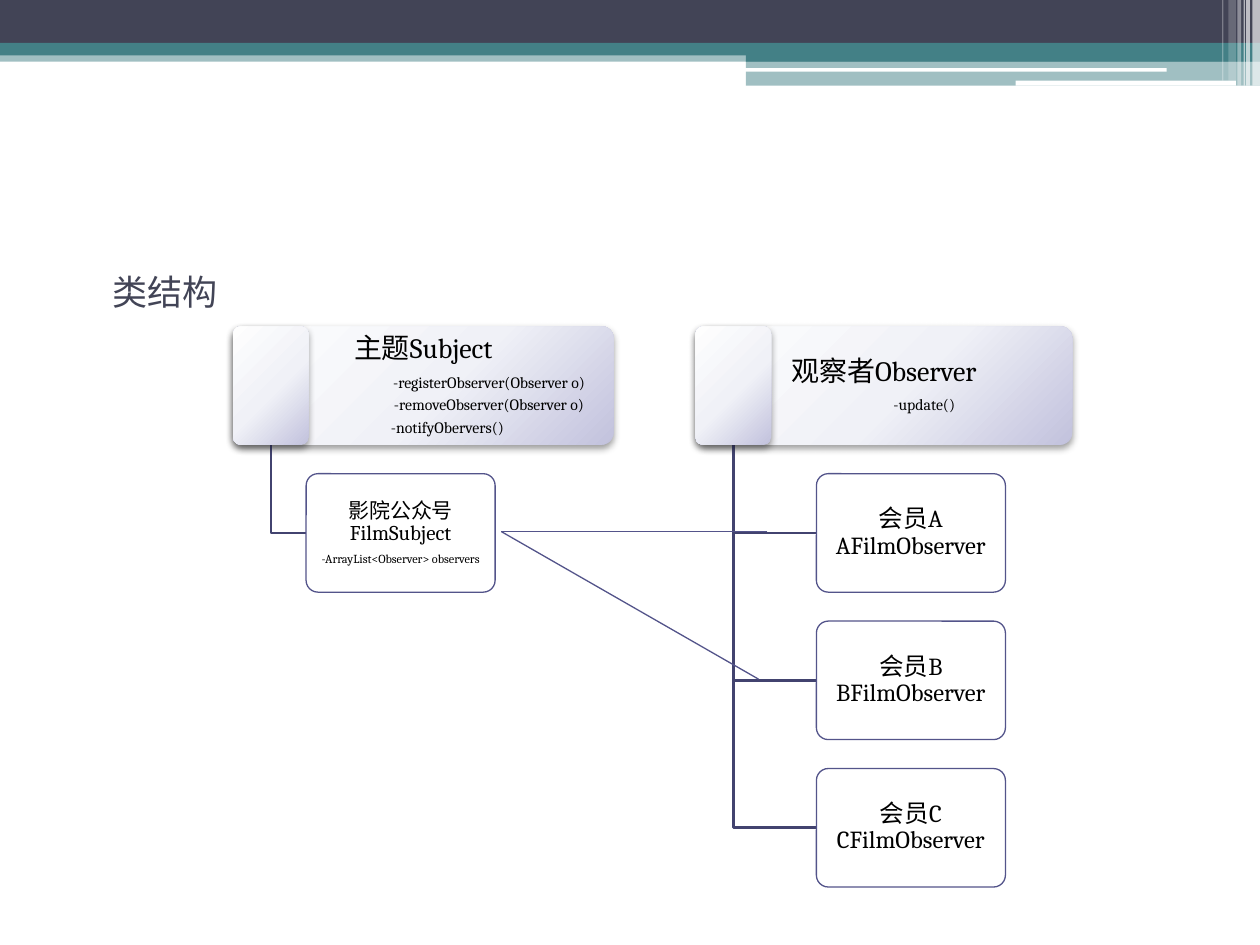
"""Build a class structure slide for the observer pattern."""
from lxml import etree
from pptx import Presentation
from pptx.dml.color import RGBColor
from pptx.enum.shapes import MSO_CONNECTOR as LINK, MSO_SHAPE as SHAPE
from pptx.enum.text import MSO_ANCHOR as ANCHOR, PP_ALIGN as ALIGN
from pptx.oxml import parse_xml
from pptx.oxml.ns import nsdecls, qn
from pptx.util import Inches, Pt

COLORS = {
    "white": "FFFFFF", "dark": "424456", "teal": "438086", "black": "000000",
    "outline": "53548A", "elbow": "42436F",
    "pale": "FEFEFE", "mist": "F0F1F7", "lavender": "C2C2DD",
}
BANDS = [
    (0, 0.4, 10, 0.09, "teal", 50), (0, 0, 10, 0.34, "dark", 100),
    (0, 0.34, 10, 0.1, "teal", 100), (5.92, 0.39, 4.08, 0.1, "teal", 100),
    (5.92, 0.48, 4.08, 0.2, "teal", 50),
    (5.91, 0.54, 3.35, 0.03, "white", 100), (8.06, 0.64, 1.75, 0.04, "white", 100),
    (9.94, 0, 0.06, 0.68, "white", 65), (9.89, 0, 0.03, 0.68, "white", 65),
    (9.87, 0, 0.01, 0.68, "white", 60), (9.82, 0, 0.03, 0.68, "white", 40),
    (9.75, 0, 0.06, 0.64, "white", 20), (9.7, 0, 0.01, 0.64, "white", 30),
]
HEADER_TOP, BOX_HEIGHT, BOX_WIDTH, TAB_WIDTH = 2.59, 0.94, 1.5, 0.6
FIRST_BOX_TOP, BOX_STEP = 3.76, 1.17
CLASSES = [
    {"left": 1.85, "width": 3.02, "child_left": 2.43,
     "lines": [("主题Subject", 16, 0), ("-registerObserver(Observer\u00a0o)", 9, 1.04),
               ("-removeObserver(Observer\u00a0o)", 9, 1.04), ("-notifyObervers()", 9, 0.38)],
     "children": [[("影院公众号FilmSubject", 12, 0),
                   ("-ArrayList<Observer>\u00a0observers", 7, 0)]]},
    {"left": 5.52, "width": 2.99, "child_left": 6.48,
     "lines": [("观察者Observer", 16, 0), ("-update()", 9, 0.64)],
     "children": [[(f"会员{name} {name}FilmObserver", 14, 0)] for name in "ABC"]},
]


class Painter:
    """Hold the style and the current slide."""

    def __init__(self, page):
        self.page = page
        self.font = "Cambria"
        self.frame_format = {
            "word_wrap": True, "vertical_anchor": ANCHOR.MIDDLE,
            "margin_left": Inches(0.03), "margin_right": Inches(0.03),
            "margin_top": Inches(0.02), "margin_bottom": Inches(0.02),
        }

    def color(self, name):
        return RGBColor.from_string(COLORS[name])

    def title(self, text, left, top, width, height):
        box = self.page.shapes.title
        place = {"left": left, "top": top, "width": width, "height": height}
        for name, value in place.items():
            setattr(box, name, Inches(value))
        box.text_frame.vertical_anchor = ANCHOR.TOP
        para = box.text_frame.paragraphs[0]
        para.alignment = ALIGN.LEFT
        self.span(para, text, "Cabin", 20, "dark")

    def span(self, para, text, font, size, color):
        span = para.add_run()
        span.text = text
        for name, value in {"name": font, "size": Pt(size)}.items():
            setattr(span.font, name, value)
        span.font.color.rgb = self.color(color)

    def block(self, kind, left, top, width, height, fill, opacity=100):
        box = self.page.shapes.add_shape(kind, *map(Inches, (left, top, width, height)))
        box.shadow.inherit = False
        box.line.fill.background()
        box.fill.solid()
        box.fill.fore_color.rgb = self.color(fill)
        if opacity < 100:
            tint = box._element.spPr.find(f"{qn('a:solidFill')}/{qn('a:srgbClr')}")
            etree.SubElement(tint, qn("a:alpha"), val=str(opacity * 1000))
        return box

    def rounded(self, left, top, width, fill="white", opacity=100):
        box = self.block(SHAPE.ROUNDED_RECTANGLE, left, top, width, BOX_HEIGHT, fill, opacity)
        box.adjustments[0] = 0.1
        return box

    def glossy(self, left, width):
        box = self.rounded(left, HEADER_TOP, width)
        stops = "".join(
            f'<a:gs pos="{place * 1000}"><a:srgbClr val="{COLORS[name]}"/></a:gs>'
            for place, name in ((0, "pale"), (55, "mist"), (100, "lavender")))
        properties = box._element.spPr
        properties.replace(properties.find(qn("a:solidFill")), parse_xml(
            f'<a:gradFill {nsdecls("a")} rotWithShape="1"><a:gsLst>{stops}</a:gsLst>'
            '<a:path path="circle"><a:fillToRect l="-40000" t="-90000" r="140000" b="190000"/>'
            '</a:path></a:gradFill>'))
        properties.find(qn("a:effectLst")).append(parse_xml(
            f'<a:outerShdw {nsdecls("a")} blurRad="{Pt(4.1)}" dist="{Pt(2)}" dir="5400000" '
            f'rotWithShape="0"><a:srgbClr val="{COLORS["black"]}"><a:alpha val="40000"/>'
            '</a:srgbClr></a:outerShdw>'))
        return box

    def card(self, left, top, lines):
        box = self.rounded(left, top, BOX_WIDTH, opacity=90)
        self.stroke(box, "outline", 0.75)
        self.label(box, lines)

    def stroke(self, item, color, width):
        item.line.color.rgb = self.color(color)
        item.line.width = Pt(width)

    def label(self, box, lines):
        frame = box.text_frame
        for name, value in self.frame_format.items():
            setattr(frame, name, value)
        for index, (text, size, indent) in enumerate(lines):
            para = frame.add_paragraph() if index else frame.paragraphs[0]
            layout = {"alignment": ALIGN.CENTER, "line_spacing": 0.9,
                      "space_after": Pt(round(size * 0.35, 1))}
            for name, value in layout.items():
                setattr(para, name, value)
            if indent:
                para._p.get_or_add_pPr().set("marL", str(Inches(indent)))
            self.span(para, text, self.font, size, "black")

    def elbow(self, left, top, right, bottom):
        builder = self.page.shapes.build_freeform(Inches(left), Inches(top))
        corners = [(left, bottom), (right, bottom)]
        builder.add_line_segments([tuple(map(Inches, spot)) for spot in corners], close=False)
        bend = builder.convert_to_shape()
        bend.shadow.inherit = False
        bend.fill.background()
        self.stroke(bend, "elbow", 1.5)

    def link(self, start, end):
        line = self.page.shapes.add_connector(LINK.STRAIGHT, *map(Inches, start + end))
        self.stroke(line, "outline", 0.75)
        etree.SubElement(line._element.spPr, qn("a:effectLst"))


def main():
    deck = Presentation()
    deck.slide_width, deck.slide_height = Inches(10), Inches(7.5)
    page = deck.slides.add_slide(deck.slide_layouts[5])
    painter = Painter(page)
    for *place, fill, opacity in BANDS:
        painter.block(SHAPE.RECTANGLE, *place, fill, opacity)
    painter.title("类结构", 0.79, 2.1, 8.5, 1.49)

    for group in CLASSES:
        painter.label(painter.glossy(group["left"], group["width"]), group["lines"])
        for index, lines in enumerate(group["children"]):
            top = FIRST_BOX_TOP + index * BOX_STEP
            painter.elbow(group["left"] + TAB_WIDTH / 2, HEADER_TOP + BOX_HEIGHT,
                          group["child_left"], top + BOX_HEIGHT / 2)
            painter.card(group["child_left"], top, lines)
    for group in CLASSES:
        painter.glossy(group["left"], TAB_WIDTH)

    for start in ((6.09, 4.22), (6.02, 5.39)):
        painter.link(start, (3.98, 4.22))
    deck.save("out.pptx")


if __name__ == "__main__":
    main()
